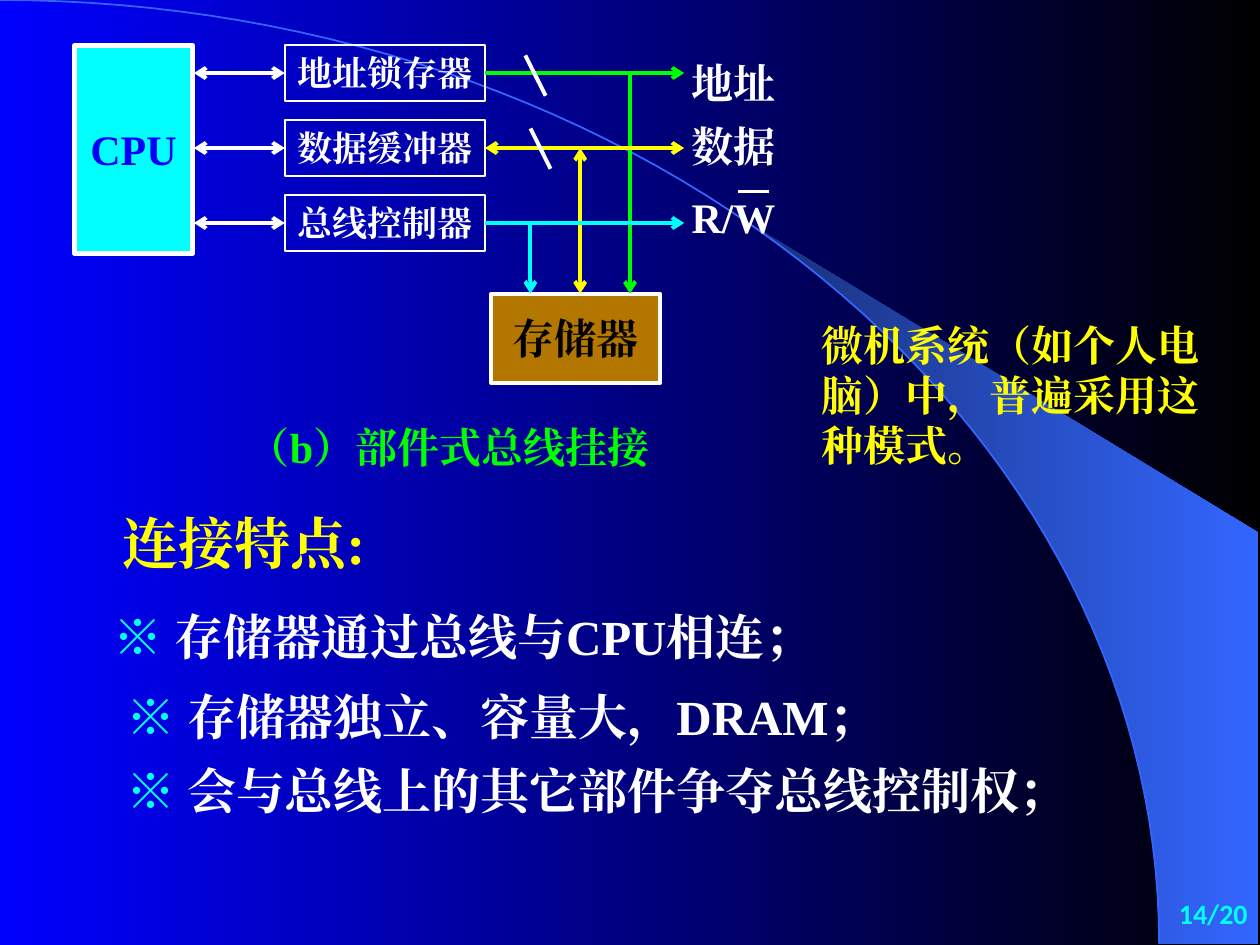
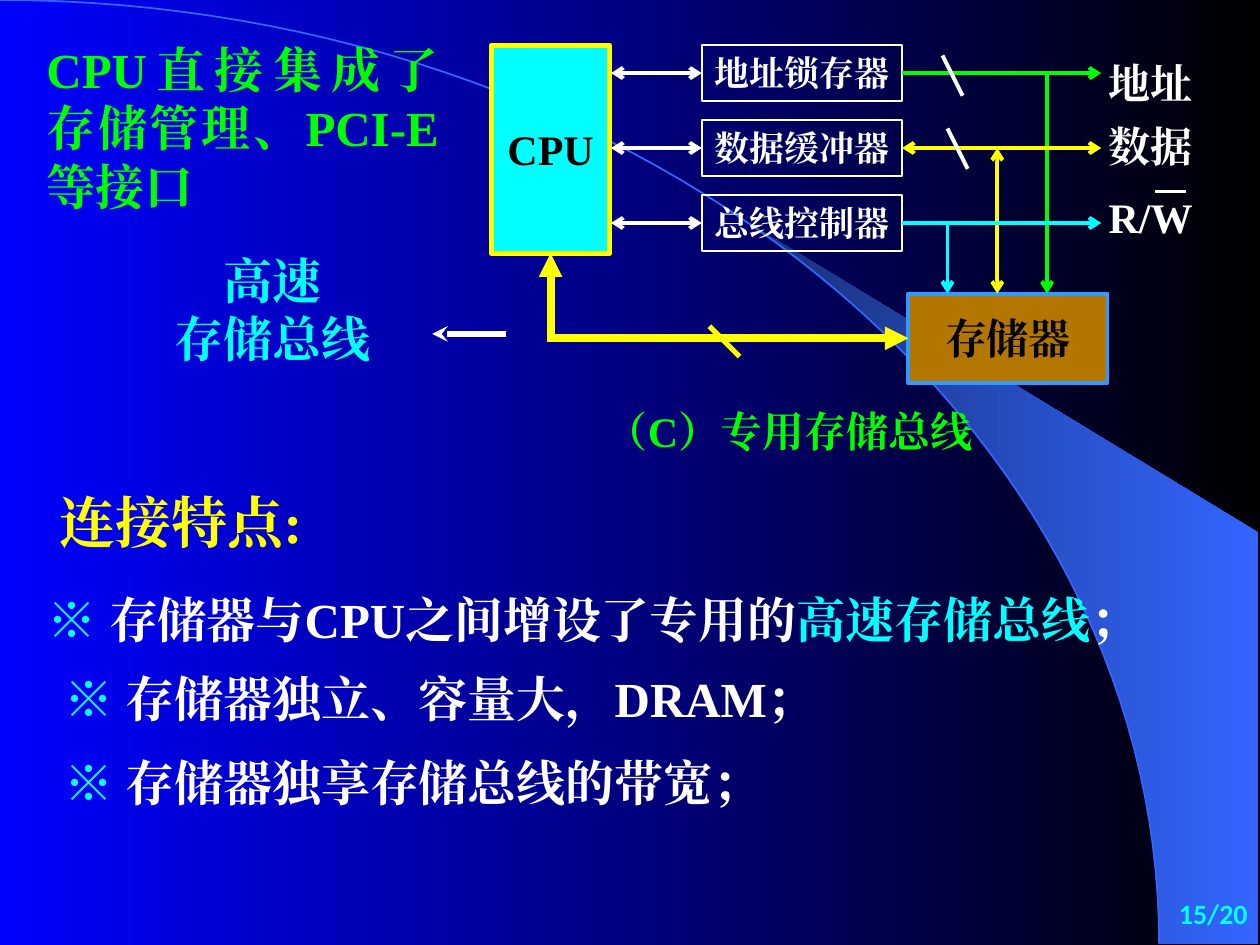
from dataclasses import dataclass
from math import asin, cos, pi, sin

from lxml.etree import SubElement
from pptx import Presentation
from pptx.dml.color import RGBColor
from pptx.enum.shapes import MSO_CONNECTOR, MSO_SHAPE
from pptx.enum.text import MSO_ANCHOR, MSO_AUTO_SIZE, PP_ALIGN
from pptx.oxml.ns import qn
from pptx.util import Inches, Pt


@dataclass(frozen=True)
class Theme:
    blue: str = "0000FF"
    black: str = "000000"
    white: str = "FFFFFF"
    cyan: str = "00FFFF"
    yellow: str = "FFFF00"
    green: str = "00FF00"
    brown: str = "B37700"
    sky: str = "3399FF"
    arc: str = "3366FF"
    arc_dark: str = "182F76"
    font: str = "Times New Roman"
    number_font: str = "Calibri"
    title: int = 32
    body: int = 28
    label: int = 24
    component: int = 20
    page: int = 16
    line_height: float = 1.19


THEME = Theme()
COLUMNS, ROWS = 100, 75  # square cells
presentation = Presentation()
presentation.slide_width, presentation.slide_height = Inches(10), Inches(7.5)
CELL = presentation.slide_width / COLUMNS


def write(shape, box, lines, size, colour, align=PP_ALIGN.LEFT, anchor=MSO_ANCHOR.TOP,
          wrap=False, font=THEME.font):
    """Place a shape on the grid and fill it; a line is a list of (text, colour or None)."""
    shape.left, shape.top, shape.width, shape.height = [round(v * CELL) for v in box]
    frame = shape.text_frame
    frame.auto_size = MSO_AUTO_SIZE.NONE
    frame.word_wrap = wrap
    frame.vertical_anchor = anchor
    for index, runs in enumerate(lines):
        paragraph = frame.add_paragraph() if index else frame.paragraphs[0]
        paragraph.alignment = align
        paragraph.line_spacing = Pt(size * THEME.line_height)
        paragraph.space_before = Pt(0)
        paragraph.font.size = Pt(size)
        paragraph.font.bold = True
        paragraph.font.name = font
        paragraph.font.color.rgb = RGBColor.from_string(colour)
        SubElement(paragraph.font._rPr, qn("a:ea"), typeface=font)
        for text, run_colour in runs:
            run = paragraph.add_run()
            run.text = text
            if run_colour:
                run.font.color.rgb = RGBColor.from_string(run_colour)


def draw_line(slide, start, end, colour, width=2.25, head=None, tail=None):
    points = [round(v * CELL) for v in (*start, *end)]
    connector = slide.shapes.add_connector(MSO_CONNECTOR.STRAIGHT, *points)
    connector.line.color.rgb = RGBColor.from_string(colour)
    connector.line.width = Pt(width)
    outline = connector.line._get_or_add_ln()
    for tag, arrowhead in (("a:headEnd", head), ("a:tailEnd", tail)):
        if arrowhead:
            SubElement(outline, qn(tag), type=arrowhead)
    SubElement(connector.element.spPr, qn("a:effectLst"))
    return connector


@dataclass(frozen=True)
class BusSlide:
    page: str
    offset: float
    cpu_text: str
    cpu_line: str
    memory_width: float
    memory_line: str
    caption: str
    caption_box: tuple
    title_box: tuple
    body_box: tuple
    body_indent: float
    body_gaps: tuple
    features: tuple


MARK = ("※ ", THEME.cyan)
bus_slides = [
    BusSlide("14/20", 0, THEME.blue, THEME.white, 13.4, THEME.white,
             "（b）部件式总线挂接", (18.7, 33, 35.4, 5),
             (8.7, 39.9, 22.3, 6.4), (8, 47.7, 83, 19), 1, (0, 12, 9),
             ([MARK, ("存储器通过总线与CPU相连；", None)],
              [MARK, ("存储器独立、容量大，DRAM；", None)],
              [MARK, ("会与总线上的其它部件争夺总线控制权；", None)])),
    BusSlide("15/20", 33.1, THEME.black, THEME.yellow, 15.8, THEME.sky,
             "（C）专用存储总线", (47.1, 31.7, 32.6, 5),
             (3.7, 38.2, 22.3, 6.4), (2.8, 46.3, 92.6, 19), 1.3, (0, 12, 15),
             ([MARK, ("存储器与CPU之间增设了专用的", None),
               ("高速存储总线", THEME.cyan), ("；", None)],
              [MARK, ("存储器独立、容量大，DRAM；", None)],
              [MARK, ("存储器独享存储总线的带宽；", None)])),
]

# Diagram rows: component, bus label, label top, bus colour, bus start arrow
bus_rows = [
    ("地址锁存器", "地址", 4.1, THEME.green, None),
    ("数据缓冲器", "数据", 9.1, THEME.yellow, "arrow"),
    ("总线控制器", "R/W", 14.7, THEME.cyan, None),
]
FIRST_ROW, ROW_STEP = 5.8, 5.95
MEMORY_TOP, MEMORY_HEIGHT = 23.3, 7.1
CPU_WIDTH, CPU_BOTTOM = 9.4, 20.1

# Shared background, kept on the master
master = presentation.slide_master
layout = presentation.slide_layouts.get_by_name("Title and Content")
slides = [presentation.slides.add_slide(layout) for _ in bus_slides]

ARC_WIDTH, ARC_HEIGHT, ARC_STEPS = 92, 74.9, 60
band_start = asin(58.9 / ARC_WIDTH)
arc_points, band_edge = [
    [(ARC_WIDTH * sin(angle), ARC_HEIGHT * (1 - cos(angle)))
     for angle in (first + (pi / 2 - first) * step / ARC_STEPS for step in range(ARC_STEPS + 1))]
    for first in (0, band_start)]
band_points = band_edge + [(99.9, 74.9), (99.9, 42.3)]

decorations = []
for points, closed in ((band_points, True), (arc_points, False)):
    vertices = [(round(x * CELL), round(y * CELL)) for x, y in points]
    builder = slides[0].shapes.build_freeform(*vertices[0])
    builder.add_line_segments(vertices[1:], close=closed)
    decoration = builder.convert_to_shape()
    decoration.shadow.inherit = False
    decorations.append(decoration)
band, arc = decorations
band.line.fill.background()
arc.fill.background()
arc.line.color.rgb = RGBColor.from_string(THEME.arc)
arc.line.width = Pt(1)
for fill, colours in ((master.background.fill, (THEME.blue, THEME.black)),
                      (band.fill, (THEME.arc_dark, THEME.arc))):
    fill.gradient()
    fill.gradient_angle = 0
    for stop, colour in zip(fill.gradient_stops, colours):
        stop.color.rgb = RGBColor.from_string(colour)
for decoration in decorations:
    master.shapes.element.append(decoration.element)

for slide, content in zip(slides, bus_slides):
    shapes, offset = slide.shapes, content.offset

    # Title, feature list, caption and page number
    write(shapes.title, content.title_box, [[("连接特点:", None)]], THEME.title, THEME.yellow)
    body = slide.placeholders[1]
    write(body, content.body_box, content.features, THEME.body, THEME.white, wrap=True)
    for index, paragraph in enumerate(body.text_frame.paragraphs):
        paragraph.space_before = Pt(content.body_gaps[index])
        properties = paragraph._p.get_or_add_pPr()
        properties.set("marL", str(round(content.body_indent * CELL) if index else 0))
        properties.set("indent", "0")
        properties.insert_element_before(
            properties.makeelement(qn("a:buNone")), "a:tabLst", "a:defRPr", "a:extLst")
    write(shapes.add_textbox(0, 0, 0, 0), content.caption_box, [[(content.caption, None)]],
          THEME.label, THEME.green)
    write(shapes.add_textbox(0, 0, 0, 0), (87.8, 70, 12.2, 5), [[(content.page, None)]],
          THEME.page, THEME.cyan, PP_ALIGN.RIGHT, MSO_ANCHOR.MIDDLE, True, THEME.number_font)

    # CPU, memory and bus components
    blocks = [
        ("CPU", (5.9 + offset, 3.6, CPU_WIDTH, CPU_BOTTOM - 3.6), THEME.cyan,
         content.cpu_line, 3, content.cpu_text, THEME.label),
        ("存储器", (39 + offset, MEMORY_TOP, content.memory_width, MEMORY_HEIGHT), THEME.brown,
         content.memory_line, 2.25, THEME.black, THEME.label),
    ]
    for row, (component, *_) in enumerate(bus_rows):
        top = FIRST_ROW + row * ROW_STEP - 2.2
        blocks.append((component, (22.6 + offset, top, 15.9, 4.4), None,
                       THEME.white, 1, THEME.white, THEME.component))
    rectangles = []
    for text, box, fill, line, width, colour, size in blocks:
        rectangle = shapes.add_shape(MSO_SHAPE.RECTANGLE, 0, 0, 0, 0)
        rectangle.shadow.inherit = False
        if fill:
            rectangle.fill.solid()
            rectangle.fill.fore_color.rgb = RGBColor.from_string(fill)
        else:
            rectangle.fill.background()
        rectangle.line.color.rgb = RGBColor.from_string(line)
        rectangle.line.width = Pt(width)
        write(rectangle, box, [[(text, None)]], size, colour, PP_ALIGN.CENTER, MSO_ANCHOR.MIDDLE)
        rectangles.append(rectangle)
    cpu, memory, *components = rectangles

    # Buses, their labels and their drops into the memory
    for row, (_, label, label_top, colour, start_arrow) in enumerate(bus_rows):
        middle = FIRST_ROW + row * ROW_STEP
        link = draw_line(slide, (15.4 + offset, middle), (22.6 + offset, middle),
                         THEME.white, head="arrow", tail="arrow")
        link.end_connect(components[row], 1)
        bus = draw_line(slide, (38.5 + offset, middle), (54.3 + offset, middle),
                        colour, head=start_arrow, tail="arrow")
        bus.begin_connect(components[row], 3)
        drop = 50 + offset - row * 3.95
        draw_line(slide, (drop, middle), (drop, MEMORY_TOP), colour,
                  head=start_arrow, tail="arrow")
        write(shapes.add_textbox(0, 0, 0, 0), (53.9 + offset, label_top, 8.6, 5),
              [[(label, None)]], THEME.label, THEME.white)
    for slash_left, slash_top in ((41.7, 4.4), (42.1, 10.2)):
        draw_line(slide, (slash_left + offset, slash_top),
                  (slash_left + 1.6 + offset, slash_top + 3.2), THEME.white)
    draw_line(slide, (58.6 + offset, 15.2), (61 + offset, 15.2), THEME.white)

    if content is bus_slides[0]:
        write(shapes.add_textbox(0, 0, 0, 0), (64.2, 24.9, 33.1, 13),
              [[("微机系统（如个人电脑）中，普遍采用这种模式。", None)]],
              THEME.label, THEME.yellow, wrap=True)
    else:
        # Dedicated storage bus from CPU to memory
        corner_x = 5.9 + offset + CPU_WIDTH / 2
        corner_y = MEMORY_TOP + MEMORY_HEIGHT / 2
        riser = draw_line(slide, (corner_x, CPU_BOTTOM), (corner_x, corner_y + 0.3),
                          THEME.yellow, 4.5, head="triangle")
        riser.begin_connect(cpu, 2)
        run_across = draw_line(slide, (corner_x, corner_y), (39 + offset, corner_y),
                               THEME.yellow, 4.5, tail="triangle")
        run_across.end_connect(memory, 1)
        draw_line(slide, (56.3, 25.9), (58.7, 28.3), THEME.yellow, 3)
        draw_line(slide, (40.2, 26.5), (34.3, 26.5), THEME.white, 3, tail="stealth")
        write(shapes.add_textbox(0, 0, 0, 0), (12.2, 19.4, 18.9, 10.4),
              [[("高速", None)], [("存储总线", None)]],
              THEME.body, THEME.cyan, PP_ALIGN.CENTER, wrap=True)
        write(shapes.add_textbox(0, 0, 0, 0), (2.7, 2.7, 33.1, 15),
              [[("CPU直接集成了存储管理、PCI-E等接口", None)]],
              THEME.body, THEME.green, PP_ALIGN.JUSTIFY, wrap=True)

presentation.save("out.pptx")
